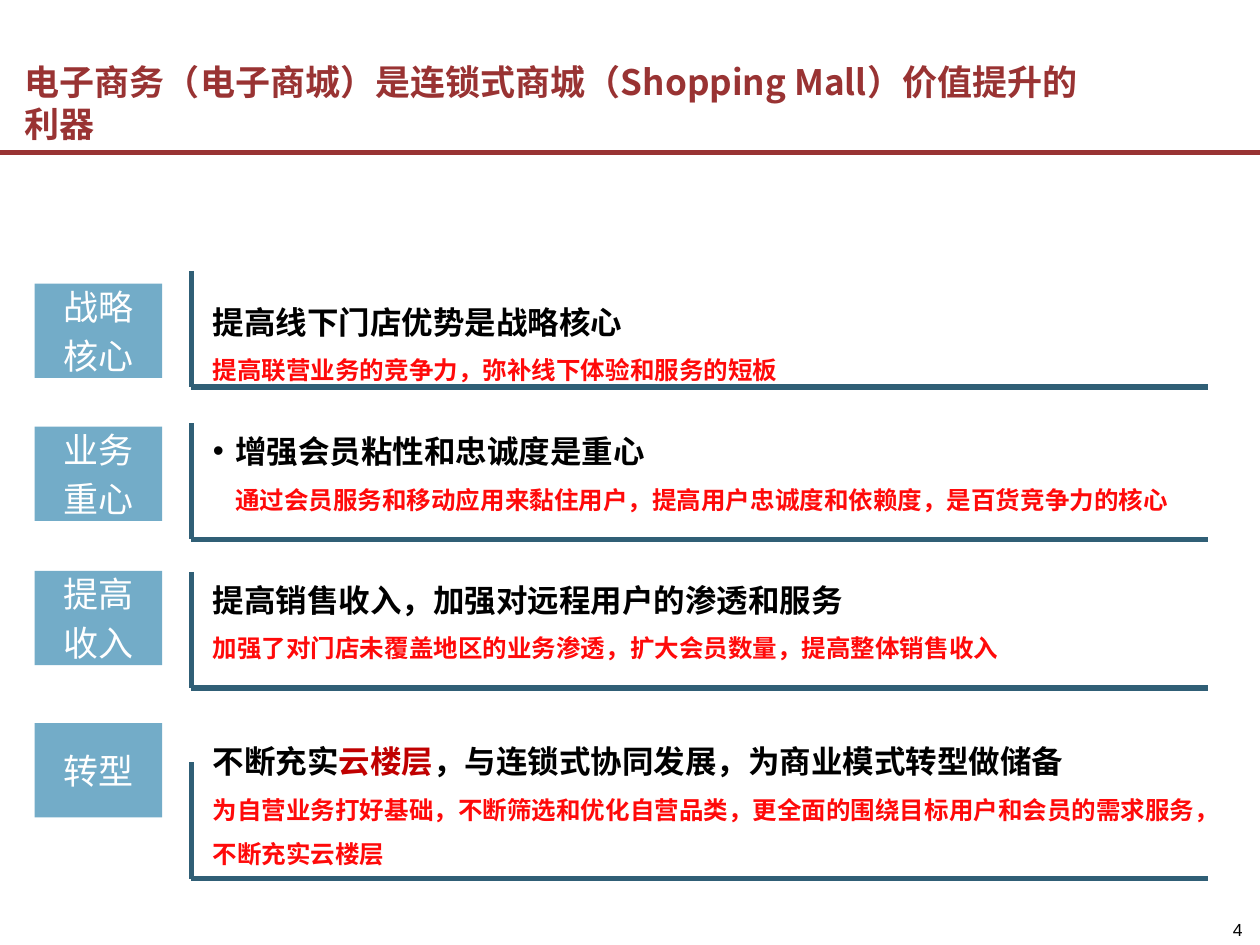
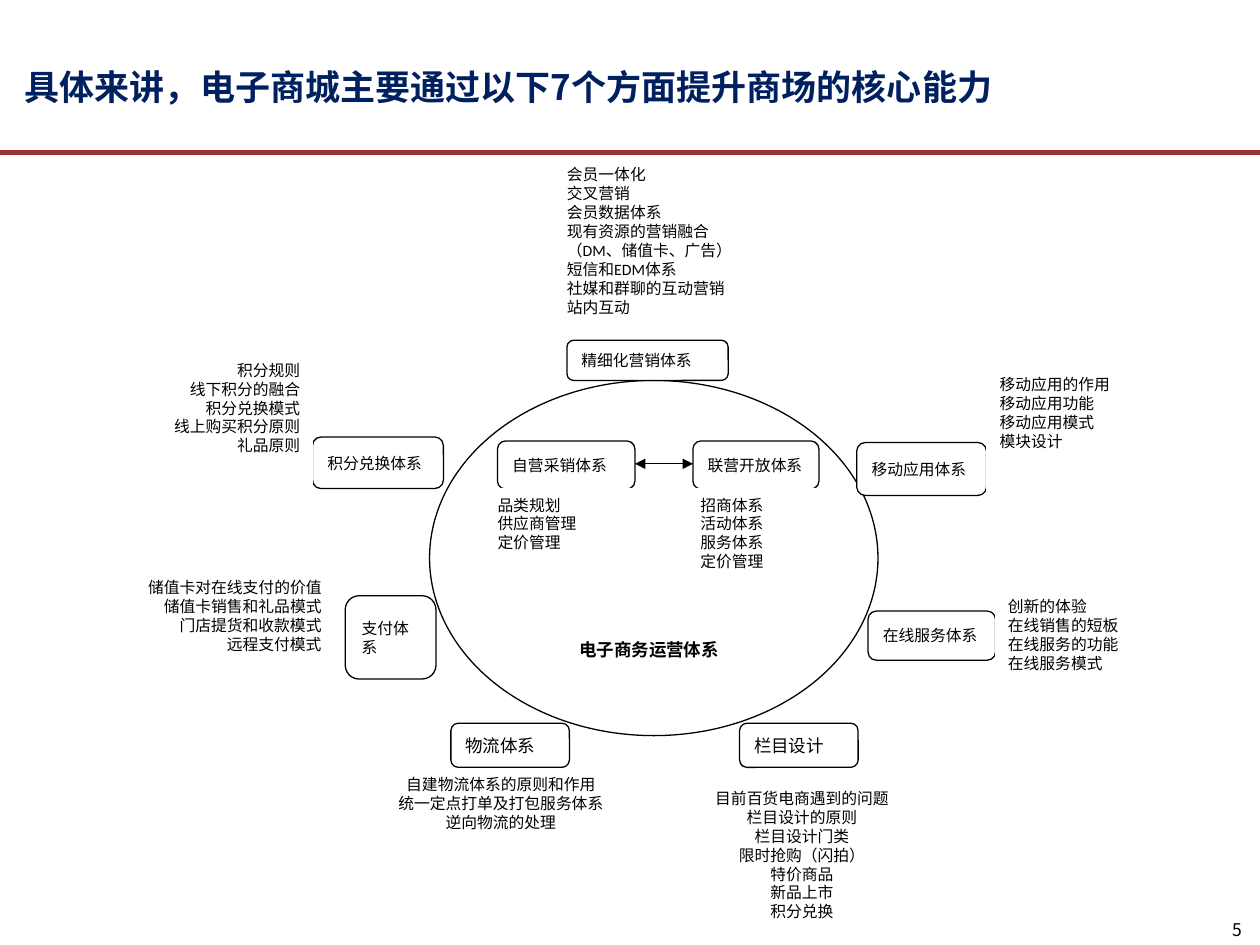
"""Build two slides on how an online mall lifts the value of a shopping mall chain."""
from dataclasses import dataclass
from itertools import cycle

from lxml import etree
from pptx import Presentation
from pptx import util as u
from pptx.dml import color
from pptx.enum import lang, shapes, text
from pptx.oxml import ns

BLACK, WHITE = "000000", "FFFFFF"
MAROON, NAVY, TEAL, SKY = "993333", "002060", "305F76", "73ACC8"
RED, CRIMSON = "FF0A0A", "C00000"
CJK, SANS, BODY = "Noto Sans CJK SC", "Arial", "Calibri"
LEFT, CENTER, RIGHT = text.PP_ALIGN.LEFT, text.PP_ALIGN.CENTER, text.PP_ALIGN.RIGHT
TOP, MIDDLE, BOTTOM = text.MSO_ANCHOR.TOP, text.MSO_ANCHOR.MIDDLE, text.MSO_ANCHOR.BOTTOM
RECT = shapes.MSO_SHAPE.RECTANGLE
ROUNDED = shapes.MSO_SHAPE.ROUNDED_RECTANGLE
OVAL = shapes.MSO_SHAPE.OVAL


@dataclass(frozen=True)
class Box:
    """Position and size in centimetres."""
    left: float
    top: float
    width: float
    height: float

    def emu(self) -> tuple:
        """Return the four lengths for python-pptx."""
        return tuple(map(u.Cm, (self.left, self.top, self.width, self.height)))


@dataclass(frozen=True)
class Style:
    """Look of a run of text."""
    size: float
    colour: str = BLACK
    font: str = BODY
    bold: bool = False


@dataclass(frozen=True)
class Goal:
    """One strategic goal: label, headline spans, explanation and places."""
    label: tuple
    headline: tuple
    detail: str
    label_top: float
    text_top: float
    bracket_top: float
    text_width: float
    bulleted: bool = False


@dataclass(frozen=True)
class System:
    """One operating system around the circle with its list of topics."""
    name: str
    box: Box
    topics: tuple
    topics_box: Box
    align: int = LEFT
    size: float = 9


GOALS = (
    Goal(("战略", "核心"), ("提高线下门店优势是战略核心",),
         "提高联营业务的竞争力，弥补线下体验和服务的短板", 5.72, 5.72, 5.46, 19.8),
    Goal(("业务", "重心"), ("增强会员粘性和忠诚度是重心",),
         "通过会员服务和移动应用来黏住用户，提高用户忠诚度和依赖度，是百货竞争力的核心",
         8.6, 8.33, 8.53, 20.2, True),
    Goal(("提高", "收入"), ("提高销售收入，加强对远程用户的渗透和服务",),
         "加强了对门店未覆盖地区的业务渗透，扩大会员数量，提高整体销售收入",
         11.51, 11.33, 11.53, 19.6),
    Goal(("转型",), ("不断充实", "云楼层", "，与连锁式协同发展，为商业模式转型做储备"),
         "为自营业务打好基础，不断筛选和优化自营品类，更全面的围绕目标用户和会员的需求服务，不断充实云楼层",
         14.58, 14.58, 15.37, 20),
)

SYSTEMS = (
    System("精细化营销体系", Box(11.43, 6.86, 3.25, 0.81),
           ("会员一体化", "交叉营销", "会员数据体系", "现有资源的营销融合（DM、储值卡、广告）",
            "短信和EDM体系", "社媒和群聊的互动营销", "站内互动"),
           Box(11.18, 3.2, 4.32, 3.61)),
    System("联营开放体系", Box(13.97, 8.89, 2.54, 0.97),
           ("招商体系", "活动体系", "服务体系", "定价管理"), Box(13.87, 9.86, 2.77, 2.46)),
    System("自营采销体系", Box(10.03, 8.89, 2.77, 0.97),
           ("品类规划", "供应商管理", "定价管理"), Box(9.78, 9.86, 3.05, 2.16)),
    System("移动应用体系", Box(17.27, 8.92, 2.62, 1.07),
           ("移动应用的作用", "移动应用功能", "移动应用模式", "模块设计"),
           Box(19.9, 7.44, 4.32, 3.58)),
    System("积分兑换体系", Box(6.3, 8.81, 2.64, 1.04),
           ("积分规则", "线下积分的融合", "积分兑换模式", "线上购买积分原则", "礼品原则"),
           Box(1.7, 7.14, 4.6, 4.39), RIGHT),
    System("在线服务体系", Box(17.5, 12.32, 2.57, 0.99),
           ("创新的体验", "在线销售的短板", "在线服务的功能", "在线服务模式"),
           Box(20.07, 11.91, 4.32, 3.58)),
    System("支付体系", Box(6.96, 12.01, 1.83, 1.68),
           ("储值卡对在线支付的价值", "储值卡销售和礼品模式", "门店提货和收款模式", "远程支付模式"),
           Box(2.13, 11.53, 4.6, 4.39), RIGHT),
    System("物流体系", Box(9.09, 14.58, 2.39, 0.89),
           ("自建物流体系的原则和作用", "统一定点打单及打包服务体系", "逆向物流的处理"),
           Box(7.67, 15.49, 4.85, 3.5), CENTER, 10),
    System("栏目设计", Box(14.91, 14.58, 2.39, 0.89),
           ("目前百货电商遇到的问题", "栏目设计的原则", "栏目设计门类", "限时抢购（闪拍）",
            "特价商品", "新品上市", "积分兑换"),
           Box(13.74, 15.77, 4.85, 3.2), CENTER, 10),
)


def rgb(value: str) -> color.RGBColor:
    """Turn a hex string into a colour."""
    return color.RGBColor.from_string(value)


def format_run(run, style: Style) -> None:
    """Apply a style to a run, for Latin and Chinese letters alike."""
    run.font.size = u.Pt(style.size)
    run.font.bold = style.bold
    run.font.color.rgb = rgb(style.colour)
    run.font.name = style.font
    run.font.language_id = lang.MSO_LANGUAGE_ID.SIMPLIFIED_CHINESE
    latin = run.font._element.find(ns.qn("a:latin"))
    east_asian = etree.Element(ns.qn("a:ea"), typeface=BODY)
    latin.addnext(east_asian)


def write(frame, lines: tuple, style: Style, align: int = LEFT, anchor: int = TOP,
          inset: bool = True, gap: float = 0) -> None:
    """Fill a text frame with one paragraph per line."""
    frame.text = "\n".join(lines)
    frame.word_wrap = True
    frame.vertical_anchor = anchor
    if not inset:
        frame.margin_left = frame.margin_right = frame.margin_top = frame.margin_bottom = 0
    for index, paragraph in enumerate(frame.paragraphs):
        paragraph.alignment = align
        if gap and index:
            paragraph.space_before = u.Pt(gap)
        for run in paragraph.runs:
            format_run(run, style)


def add_block(slide, kind: int, box: Box, fill: str, outline: str = ""):
    """Add a flat preset shape and return it."""
    block = slide.shapes.add_shape(kind, *box.emu())
    block.shadow.inherit = False
    block.fill.solid()
    block.fill.fore_color.rgb = rgb(fill)
    if outline:
        block.line.color.rgb = rgb(outline)
        block.line.width = u.Pt(0.75)
    else:
        block.line.fill.background()
    return block


def add_rule(slide, start: tuple, end: tuple, colour: str, weight: float,
             arrows: bool = False) -> None:
    """Add a straight line, with arrowheads at both ends if asked."""
    rule = slide.shapes.add_connector(shapes.MSO_CONNECTOR.STRAIGHT,
                                      *map(u.Cm, start + end))
    rule.line.color.rgb = rgb(colour)
    rule.line.width = u.Pt(weight)
    if arrows:
        outline = rule.line._get_or_add_ln()
        for tag in ("a:headEnd", "a:tailEnd"):
            etree.SubElement(outline, ns.qn(tag), type="triangle")
    etree.SubElement(rule._element.spPr, ns.qn("a:effectLst"))


def add_page(deck, title: str, title_box: Box, colour: str, number: str, number_font: str):
    """Add a blank slide with the shared rule, title and page number."""
    slide = deck.slides.add_slide(deck.slide_layouts[6])
    add_rule(slide, (0, 3.07), (25.4, 3.07), MAROON, 2.75)
    heading = slide.shapes.add_textbox(*title_box.emu())
    write(heading.text_frame, (title,), Style(20, colour, CJK, True),
          anchor=BOTTOM, inset=False)
    folio = slide.shapes.add_textbox(*Box(21.49, 18.52, 3.56, 0.43).emu())
    write(folio.text_frame, (number,), Style(10, font=number_font), RIGHT, BOTTOM, False)
    return slide


def indent(paragraph, hanging: bool) -> None:
    """Indent a paragraph, with a hanging bullet if asked."""
    properties = paragraph._p.get_or_add_pPr()
    depth = u.Cm(0.45)
    properties.set("marL", str(depth))
    properties.set("indent", str(-depth if hanging else 0))
    if hanging:
        tint = etree.SubElement(properties, ns.qn("a:buClr"))
        etree.SubElement(tint, ns.qn("a:srgbClr"), val=BLACK)
        etree.SubElement(properties, ns.qn("a:buFont"), typeface=SANS)
        etree.SubElement(properties, ns.qn("a:buChar"), char="•")


def add_goal(slide, goal: Goal) -> None:
    """Draw a goal as a label, an angle bracket and two lines of text."""
    label = add_block(slide, RECT, Box(0.7, goal.label_top, 2.57, 1.9), SKY)
    write(label.text_frame, goal.label, Style(20, WHITE, SANS), CENTER, MIDDLE, False, 4)
    left, bottom = 3.86, goal.bracket_top + 2.34
    add_rule(slide, (left, goal.bracket_top), (left, bottom), TEAL, 3)
    add_rule(slide, (left, bottom), (24.36, bottom), TEAL, 3)

    message = slide.shapes.add_textbox(
        *Box(4.29, goal.text_top, goal.text_width, 2.06).emu())
    write(message.text_frame, ("", goal.detail), Style(14, RED, SANS, True), inset=False)
    headline, detail = message.text_frame.paragraphs
    if goal.bulleted:
        indent(headline, True)
        indent(detail, False)
    for span, colour in zip(goal.headline, cycle((BLACK, CRIMSON))):
        run = headline.add_run()
        run.text = span
        format_run(run, Style(18, colour, SANS, True))
    headline.line_spacing = detail.line_spacing = 1.5


def add_systems(slide) -> None:
    """Draw the circle, the systems on it and their topics."""
    add_block(slide, OVAL, Box(8.66, 7.67, 9.04, 7.16), WHITE, BLACK)
    for system in SYSTEMS:
        node = add_block(slide, ROUNDED, system.box, WHITE, BLACK)
        write(node.text_frame, (system.name,), Style(system.size), anchor=MIDDLE)
    core = add_block(slide, RECT, Box(11.43, 12.75, 3.73, 0.94), WHITE, WHITE)
    write(core.text_frame, ("电子商务运营体系",), Style(10, bold=True))
    for system in SYSTEMS:
        topics = add_block(slide, RECT, system.topics_box, WHITE, WHITE)
        write(topics.text_frame, system.topics, Style(9), system.align)
    add_rule(slide, (12.8, 9.35), (13.97, 9.35), BLACK, 0.75, True)


def main() -> None:
    """Build and save the deck."""
    deck = Presentation()
    deck.slide_width, deck.slide_height = u.Cm(25.4), u.Cm(19.05)
    goals = add_page(deck, "电子商务（电子商城）是连锁式商城（Shopping Mall）价值提升的利器",
                     Box(0.5, 1.3, 21.8, 1.62), MAROON, "4", SANS)
    for goal in GOALS:
        add_goal(goals, goal)
    systems = add_page(deck, "具体来讲，电子商城主要通过以下7个方面提升商场的核心能力",
                       Box(0.5, 1.3, 24.4, 0.86), NAVY, "5", CJK)
    add_systems(systems)
    deck.save("out.pptx")


if __name__ == "__main__":
    main()
